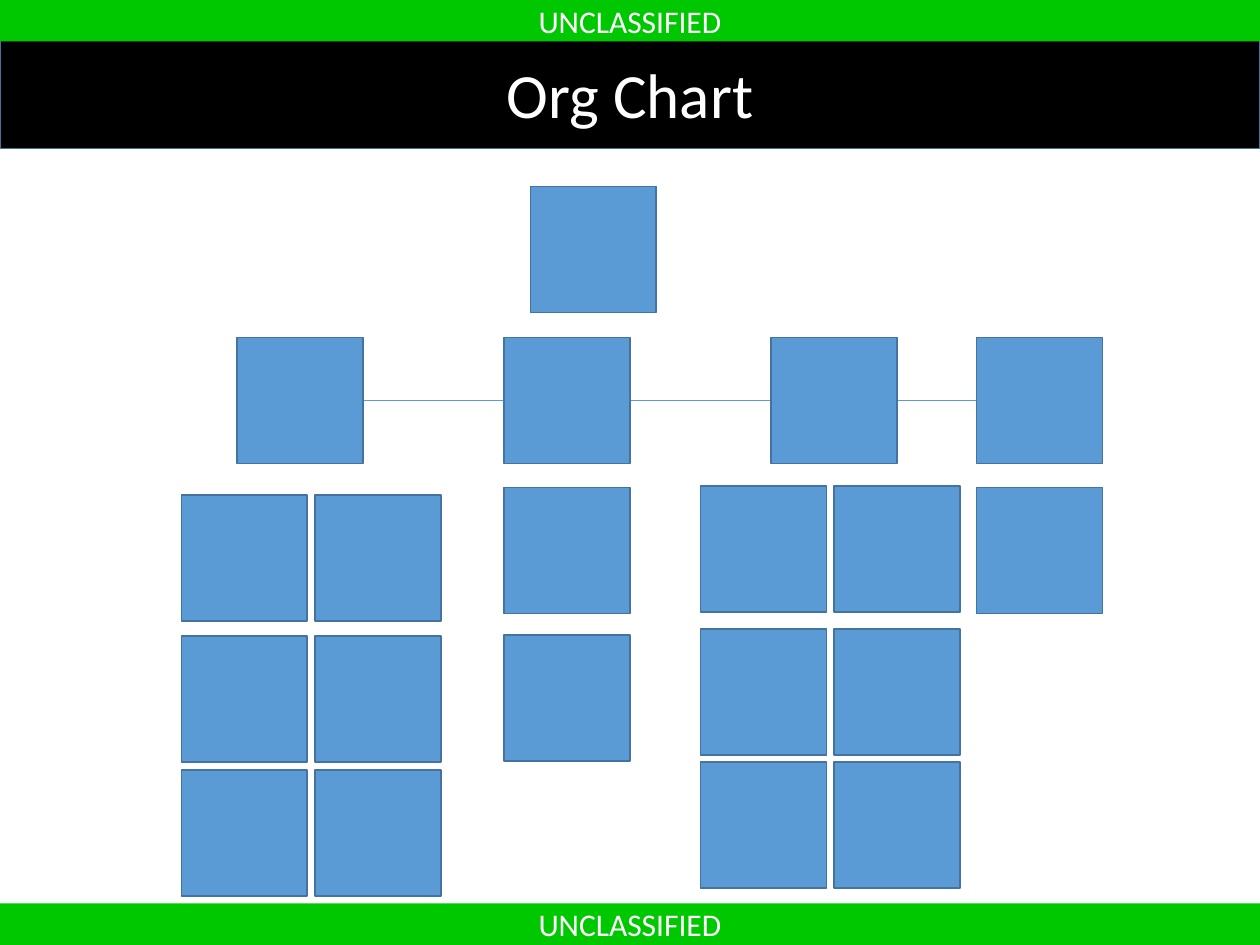
from itertools import product

from lxml import etree
from pptx import Presentation
from pptx.dml.color import RGBColor
from pptx.enum.shapes import MSO_CONNECTOR, MSO_SHAPE
from pptx.enum.text import MSO_ANCHOR, MSO_AUTO_SIZE, PP_ALIGN
from pptx.oxml.ns import qn
from pptx.util import Inches, Pt

COLORS = {
    "banner": "00C800",
    "header": "000000",
    "box": "5B9BD5",
    "outline": "43739E",
    "text": "FFFFFF",
}
COLUMNS, ROWS = 10, 7.5
BANNER_HEIGHT = 0.33


class OrgChartSlide:
    font = "Calibri"
    cell = Inches(1)

    def __init__(self, prs):
        self.slide = prs.slides.add_slide(prs.slide_layouts[5])

    def grid(self, *lengths):
        return [round(length * self.cell) for length in lengths]

    def color(self, key):
        return RGBColor.from_string(COLORS[key])

    def paint(self, shape, fill, outlined=True):
        shape.fill.solid()
        shape.fill.fore_color.rgb = self.color(fill)
        if outlined:
            shape.line.color.rgb = self.color("outline")
            shape.line.width = Pt(1)
        else:
            shape.line.fill.background()

    def label(self, shape, text, size):
        frame = shape.text_frame
        frame.text = text
        frame.word_wrap = True
        frame.auto_size = MSO_AUTO_SIZE.NONE
        frame.vertical_anchor = MSO_ANCHOR.MIDDLE
        paragraph = frame.paragraphs[0]
        paragraph.alignment = PP_ALIGN.CENTER
        font = paragraph.runs[0].font
        font.name = self.font
        font.size = Pt(size)
        font.color.rgb = self.color("text")

    def rectangle(self, left, top, width, height, fill, outlined=True):
        shape = self.slide.shapes.add_shape(
            MSO_SHAPE.RECTANGLE, *self.grid(left, top, width, height)
        )
        shape.shadow.inherit = False
        self.paint(shape, fill, outlined)
        return shape

    def title(self, text, top, height):
        heading = self.slide.shapes.title
        heading.left, heading.top, heading.width, heading.height = self.grid(
            0, top, COLUMNS, height
        )
        self.paint(heading, "header")
        self.label(heading, text, 36)

    def banner(self, text, top):
        band = self.rectangle(0, top, COLUMNS, BANNER_HEIGHT, "banner", outlined=False)
        self.label(band, text, 18)

    def boxes(self, lefts, tops):
        for top, left in product(tops, lefts):
            self.rectangle(left, top, 1, 1, "box")

    def link(self, start, end, row):
        line = self.slide.shapes.add_connector(
            MSO_CONNECTOR.STRAIGHT, *self.grid(start, row, end, row)
        )
        line.line.color.rgb = self.color("box")
        line.line.width = Pt(0.5)
        etree.SubElement(line._element.spPr, qn("a:effectLst"))


def main():
    prs = Presentation()
    prs.slide_width, prs.slide_height = Inches(COLUMNS), Inches(ROWS)
    chart = OrgChartSlide(prs)

    chart.link(2.44, 8.25, 3.18)
    chart.title("Org Chart", 0.3, 0.88)
    for top in (ROWS - BANNER_HEIGHT, 0):
        chart.banner("UNCLASSIFIED", top)

    chart.boxes([4.21], [1.48])
    chart.boxes([1.88, 4, 6.12, 7.75], [2.68])
    chart.boxes([1.44, 2.5], [3.93, 5.05, 6.11])
    chart.boxes([5.56, 6.62], [3.86, 4.99, 6.05])
    chart.boxes([4], [3.87, 5.04])
    chart.boxes([7.75], [3.87])

    prs.save("out.pptx")


if __name__ == "__main__":
    main()
